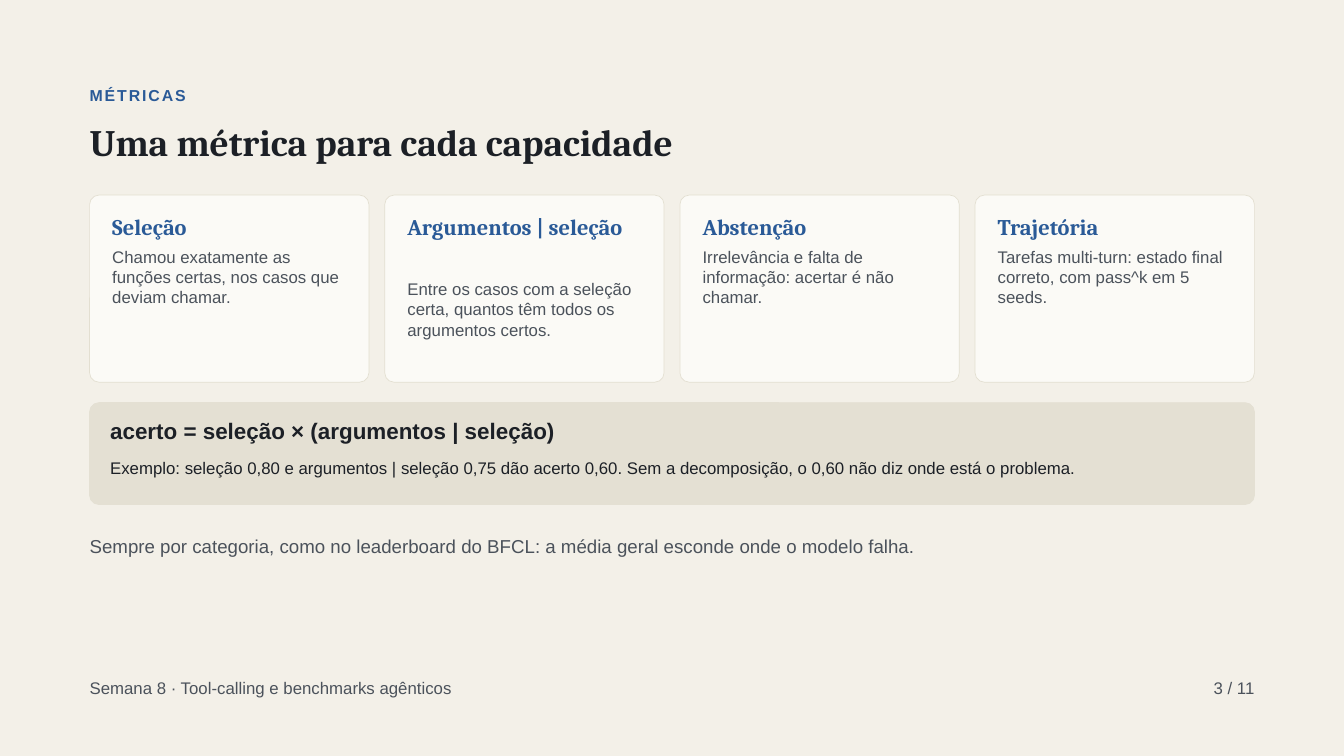
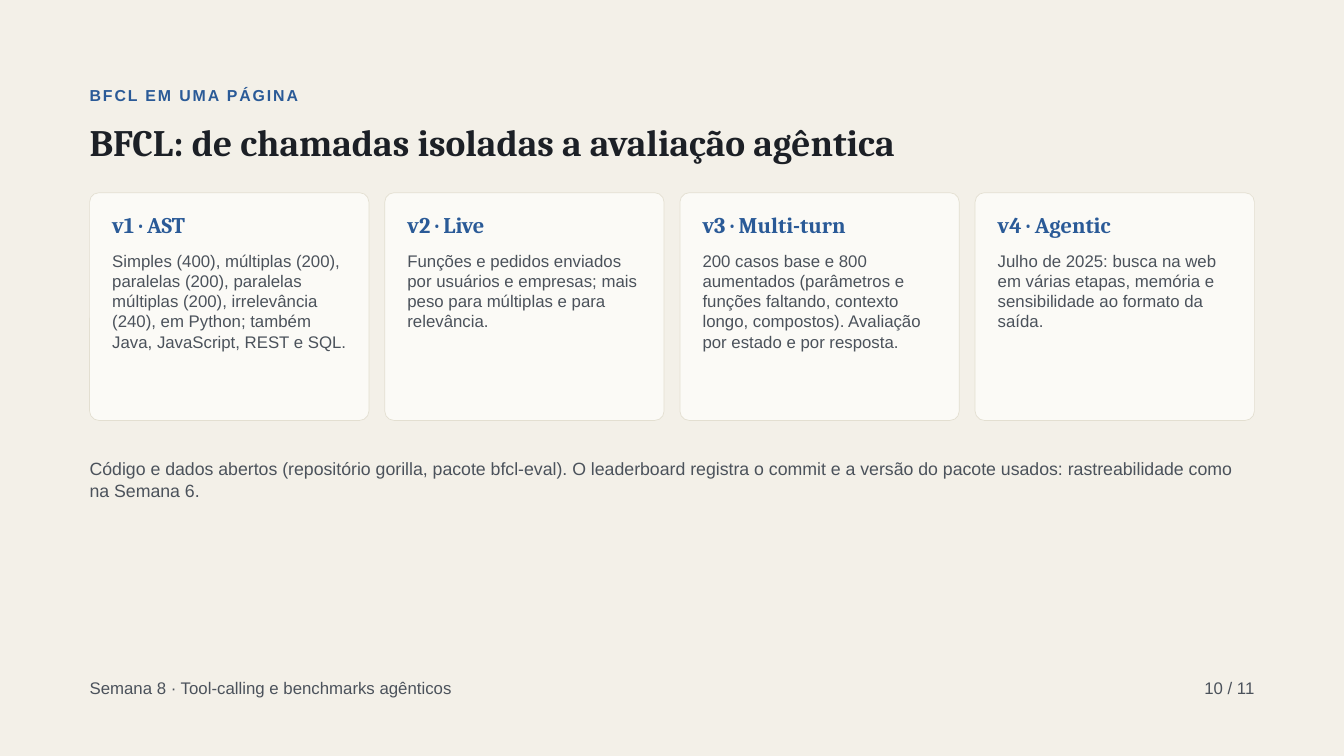
from pptx import Presentation
from pptx.dml.color import RGBColor as RGB
from pptx.enum.shapes import MSO_SHAPE as Kind
from pptx.enum.text import MSO_ANCHOR as Anchor, MSO_AUTO_SIZE as Fit, PP_ALIGN as Align
from pptx.util import Pt

HEX = {
    "page": "F3F0E8", "card": "FBFAF6", "edge": "E3DFD1", "band": "E4E0D3",
    "ink": "1C2026", "gray": "4B525B", "blue": "2A5A97",
}
SANS, SERIF = "Arial", "Cambria"
WIDE, HIGH = 1440, 810
LEFT, SPAN = 96, 1248
GAP, RADIUS, PAD = 17, 10, 24.25
TOTAL = 11
COURSE = "Semana 8 · Tool-calling e benchmarks agênticos"


def color(name):
    return RGB.from_string(HEX[name])


def write(slide, text, box, size=18, font=SANS, ink="gray", bold=False,
          align=Align.LEFT, track=0, shape=None):
    """Set one paragraph in a new text box, or in the shape given."""
    shape = shape or slide.shapes.add_textbox(0, 0, 0, 0)
    shape.left, shape.top, shape.width, shape.height = map(Pt, box)
    frame = shape.text_frame
    frame.word_wrap = True
    frame.auto_size = Fit.SHAPE_TO_FIT_TEXT
    frame.vertical_anchor = Anchor.TOP
    frame.margin_left = frame.margin_right = 0
    frame.margin_top = frame.margin_bottom = 0
    para = frame.paragraphs[0]
    para.alignment = align
    para.line_spacing = Pt(round(size * 1.2, 1))
    run = para.add_run()
    run.text = text
    run.font.name, run.font.size, run.font.bold = font, Pt(size), bold
    run.font.color.rgb = color(ink)
    if track:
        run.font._element.set("spc", str(track * 100))


def panel(slide, box, fill, edge, line):
    """Draw a rounded panel with a fixed corner radius."""
    shape = slide.shapes.add_shape(Kind.ROUNDED_RECTANGLE, *map(Pt, box))
    shape.adjustments[0] = RADIUS / min(box[2:])
    shape.shadow.inherit = False
    shape.fill.solid()
    shape.fill.fore_color.rgb = color(fill)
    shape.line.color.rgb = color(edge)
    shape.line.width = Pt(line)


def header(slide, label, title):
    write(slide, label, (LEFT, 91.5, SPAN, 27), size=17, ink="blue", bold=True, track=2)
    write(slide, title, (LEFT, 127.5, 1290, 67), size=40, font=SERIF, ink="ink",
          bold=True, shape=slide.shapes.title)


def footer(slide, page):
    width = 200
    write(slide, COURSE, (LEFT, 726, 700, 27))
    write(slide, f"{page} / {TOTAL}", (LEFT + SPAN - width, 726, width, 27),
          align=Align.RIGHT)


def card(slide, box, head, body, drop):
    left, top, width, height = box
    inner = width - 2 * PAD + 4
    panel(slide, box, "card", "edge", 0.75)
    write(slide, head, (left + PAD, top + 19.5, inner, 36), size=24, font=SERIF,
          ink="blue", bold=True)
    write(slide, body, (left + PAD, top + drop, inner, height - drop - 16))


def cards(slide, box, items):
    """Share the box equally among cards of (heading, body, body offset)."""
    left, top, width, height = box
    each = (width - GAP * (len(items) - 1)) / len(items)
    for i, item in enumerate(items):
        card(slide, (left + i * (each + GAP), top, each, height), *item)


def formula(slide, box, rule, case):
    left, top, width, _ = box
    inset = 22
    panel(slide, box, "band", "band", 1)
    write(slide, rule, (left + inset, top + 15.5, width - 2 * inset, 32), size=24,
          ink="ink", bold=True)
    write(slide, case, (left + inset, top + 59, width - 2 * inset, 32), ink="ink")


def start(deck, page, label, title):
    slide = deck.slides.add_slide(deck.slide_layouts[5])
    header(slide, label, title)
    footer(slide, page)
    return slide


def metrics(deck):
    slide = start(deck, 3, "MÉTRICAS", "Uma métrica para cada capacidade")
    near, far = 55.5, 90
    cards(slide, (LEFT, 209, SPAN, 200.5), [
        ("Seleção",
         "Chamou exatamente as funções certas, nos casos que deviam chamar.", near),
        ("Argumentos | seleção",
         "Entre os casos com a seleção certa, quantos têm todos os argumentos certos.", far),
        ("Abstenção",
         "Irrelevância e falta de informação: acertar é não chamar.", near),
        ("Trajetória",
         "Tarefas multi-turn: estado final correto, com pass^k em 5 seeds.", near),
    ])
    formula(slide, (LEFT, 431.5, SPAN, 109),
            "acerto = seleção × (argumentos | seleção)",
            "Exemplo: seleção 0,80 e argumentos | seleção 0,75 dão acerto 0,60. "
            "Sem a decomposição, o 0,60 não diz onde está o problema.")
    write(slide, "Sempre por categoria, como no leaderboard do BFCL: "
          "a média geral esconde onde o modelo falha.", (LEFT, 573, SPAN, 31), size=20)


def history(deck):
    slide = start(deck, 10, "BFCL EM UMA PÁGINA",
                  "BFCL: de chamadas isoladas a avaliação agêntica")
    items = [
        ("v1 · AST",
         "Simples (400), múltiplas (200), paralelas (200), paralelas múltiplas (200), "
         "irrelevância (240), em Python; também Java, JavaScript, REST e SQL."),
        ("v2 · Live",
         "Funções e pedidos enviados por usuários e empresas; mais peso para múltiplas "
         "e para relevância."),
        ("v3 · Multi-turn",
         "200 casos base e 800 aumentados (parâmetros e funções faltando, contexto longo, "
         "compostos). Avaliação por estado e por resposta."),
        ("v4 · Agentic",
         "Julho de 2025: busca na web em várias etapas, memória e sensibilidade ao "
         "formato da saída."),
    ]
    cards(slide, (LEFT, 206.5, SPAN, 244), [(*item, 62) for item in items])
    write(slide, "Código e dados abertos (repositório gorilla, pacote bfcl-eval). "
          "O leaderboard registra o commit e a versão do pacote usados: "
          "rastreabilidade como na Semana 6.", (LEFT, 491, SPAN, 60), size=19)


def main():
    deck = Presentation()
    deck.slide_width, deck.slide_height = Pt(WIDE), Pt(HIGH)
    # Shared page colour
    back = deck.slide_master.background.fill
    back.solid()
    back.fore_color.rgb = color("page")
    metrics(deck)
    history(deck)
    deck.save("out.pptx")


if __name__ == "__main__":
    main()
